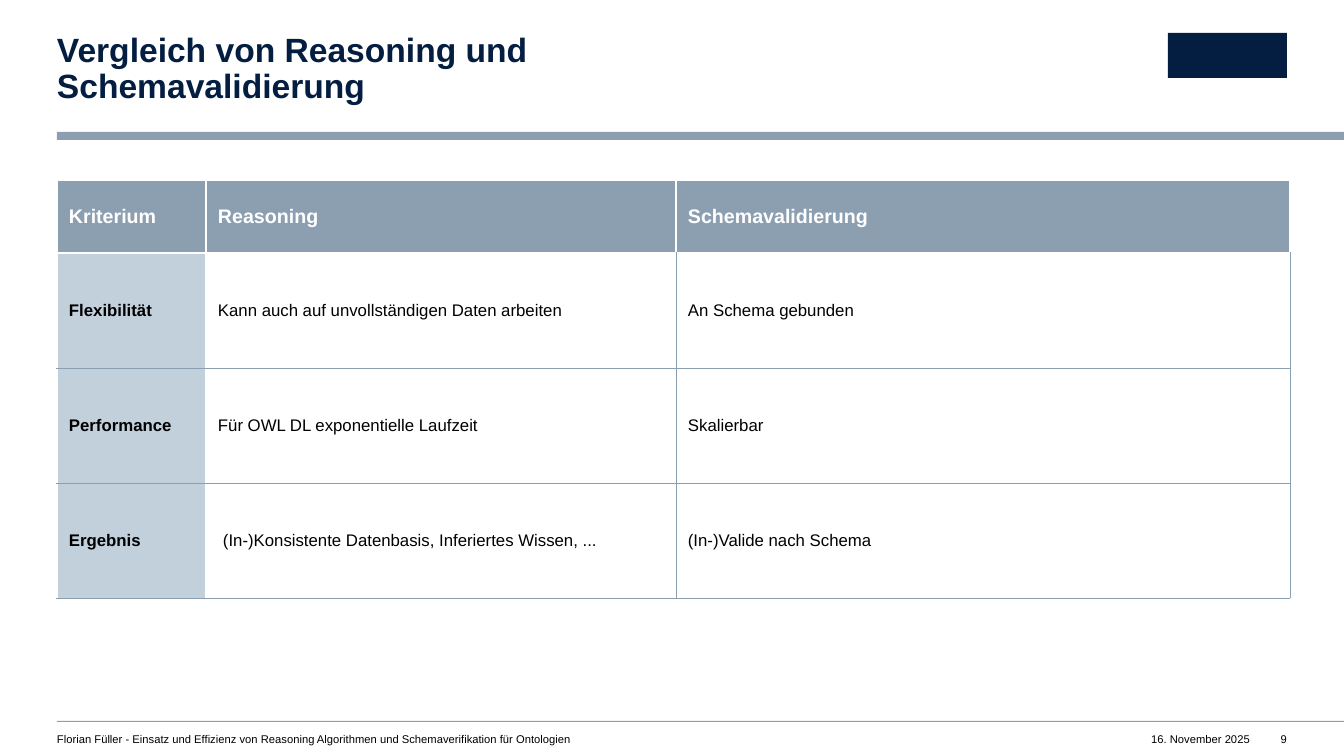
from lxml import etree
from pptx import Presentation, util as u
from pptx.dml.color import RGBColor
from pptx.enum import shapes, text
from pptx.oxml import ns

NAVY = RGBColor(0x04, 0x1E, 0x42)
STEEL = RGBColor(0x8C, 0x9F, 0xB1)
PALE = RGBColor(0xC2, 0xD0, 0xDC)
WHITE = RGBColor(0xFF, 0xFF, 0xFF)
BLACK = RGBColor(0x00, 0x00, 0x00)

PX_PER_INCH = 100.8
WIDTH, HEIGHT = 1344, 756
LEFT = 57

COLUMNS = [149, 470, 614]
ROWS = [73, 115, 115, 115]
COMPARISON = [
    ["Kriterium", "Reasoning", "Schemavalidierung"],
    ["Flexibilität", "Kann auch auf unvollständigen Daten arbeiten", "An Schema gebunden"],
    ["Performance", "Für OWL DL exponentielle Laufzeit", "Skalierbar"],
    ["Ergebnis", "(In-)Konsistente Datenbasis, Inferiertes Wissen, ...", "(In-)Valide nach Schema"],
]


def px(length):
    return u.Emu(round(length * u.Inches(1) / PX_PER_INCH))


class SlideBuilder:
    """Holds the font and the current page and adds elements to it."""

    def __init__(self, page, font="Arial"):
        self.page = page
        self.font = font

    def style(self, para, size, color, bold=False):
        for span in para.runs:
            span.font.name = self.font
            span.font.size = u.Pt(size)
            span.font.bold = bold
            span.font.color.rgb = color

    def bar(self, x, y, width, height, color):
        bar = self.page.shapes.add_shape(
            shapes.MSO_SHAPE.RECTANGLE, px(x), px(y), px(width), px(height))
        bar.shadow.inherit = False
        bar.fill.solid()
        bar.fill.fore_color.rgb = color
        bar.line.fill.background()

    def label(self, x, y, width, height, words, size, color=BLACK, bold=False,
              align=text.PP_ALIGN.LEFT, spacing=1.0):
        box = self.page.shapes.add_textbox(px(x), px(y), px(width), px(height))
        frame = box.text_frame
        frame.word_wrap = True
        frame.margin_left = frame.margin_right = 0
        frame.margin_top = frame.margin_bottom = 0
        frame.text = words
        para = frame.paragraphs[0]
        para.alignment = align
        para.line_spacing = spacing
        self.style(para, size, color, bold)

    def border(self, cell, side, color):
        """Draw one cell edge; side is L, R, T or B. Call before setting the fill."""
        points = 0.96 if color == WHITE else 0.23
        line = etree.SubElement(cell._tc.get_or_add_tcPr(), ns.qn("a:ln" + side),
                                w=str(u.Pt(points)))
        fill = etree.SubElement(line, ns.qn("a:solidFill"))
        etree.SubElement(fill, ns.qn("a:srgbClr"), val=str(color))

    def cell(self, cell, row, column, words):
        header, criterion = row == 0, column == 0
        for side, edge in (("L", column), ("R", column + 1)):
            self.border(cell, side, WHITE if header or edge < 2 else STEEL)
        for side, edge in (("T", row), ("B", row + 1)):
            self.border(cell, side, WHITE if edge < 2 else STEEL)
        if header or criterion:
            cell.fill.solid()
            cell.fill.fore_color.rgb = STEEL if header else PALE
        else:
            cell.fill.background()
        cell.vertical_anchor = text.MSO_ANCHOR.MIDDLE
        cell.margin_left = cell.margin_right = px(12)
        cell.margin_top = cell.margin_bottom = px(5)
        cell.text_frame.text = words
        self.style(cell.text_frame.paragraphs[0], 14 if header else 12,
                   WHITE if header else BLACK, header or criterion)

    def table(self, x, y, columns, rows, content):
        table = self.page.shapes.add_table(
            len(rows), len(columns), px(x), px(y), px(sum(columns)), px(sum(rows))).table
        table.first_row = table.horz_banding = False
        for column, width in zip(table.columns, columns):
            column.width = px(width)
        for row, height in zip(table.rows, rows):
            row.height = px(height)
        for r, line in enumerate(content):
            for c, words in enumerate(line):
                self.cell(table.cell(r, c), r, c, words)
        return table


def main():
    deck = Presentation()
    deck.slide_width, deck.slide_height = px(WIDTH), px(HEIGHT)
    slide = SlideBuilder(deck.slides.add_slide(deck.slide_layouts[6]))
    right = text.PP_ALIGN.RIGHT

    slide.bar(LEFT, 132, WIDTH - LEFT, 8, STEEL)
    slide.bar(LEFT, 721, WIDTH - LEFT, 1, STEEL)
    slide.bar(1168, 33, 119, 45, NAVY)
    slide.label(LEFT, 33, 754, 72, "Vergleich von Reasoning und Schemavalidierung",
                24, NAVY, bold=True, spacing=0.9)

    table = slide.table(LEFT, 180, COLUMNS, ROWS, COMPARISON)
    table.cell(3, 1).margin_left = px(17)

    slide.label(LEFT, 732, 603, 13,
                "Florian Füller - Einsatz und Effizienz von Reasoning Algorithmen "
                "und Schemaverifikation für Ontologien", 8)
    slide.label(1148, 732, 102, 13, "16. November 2025", 8, align=right)
    slide.label(1266, 732, 21, 13, "9", 8, align=right)

    deck.save("out.pptx")


if __name__ == "__main__":
    main()
